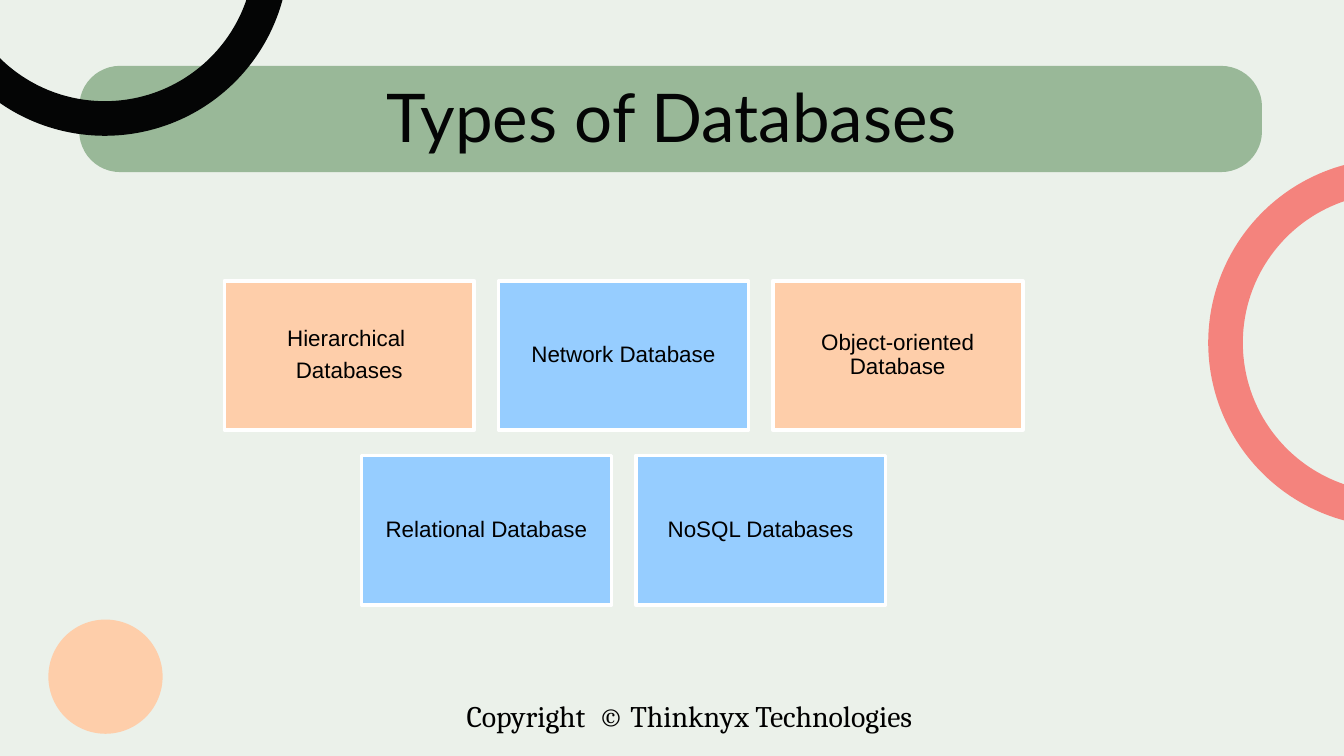
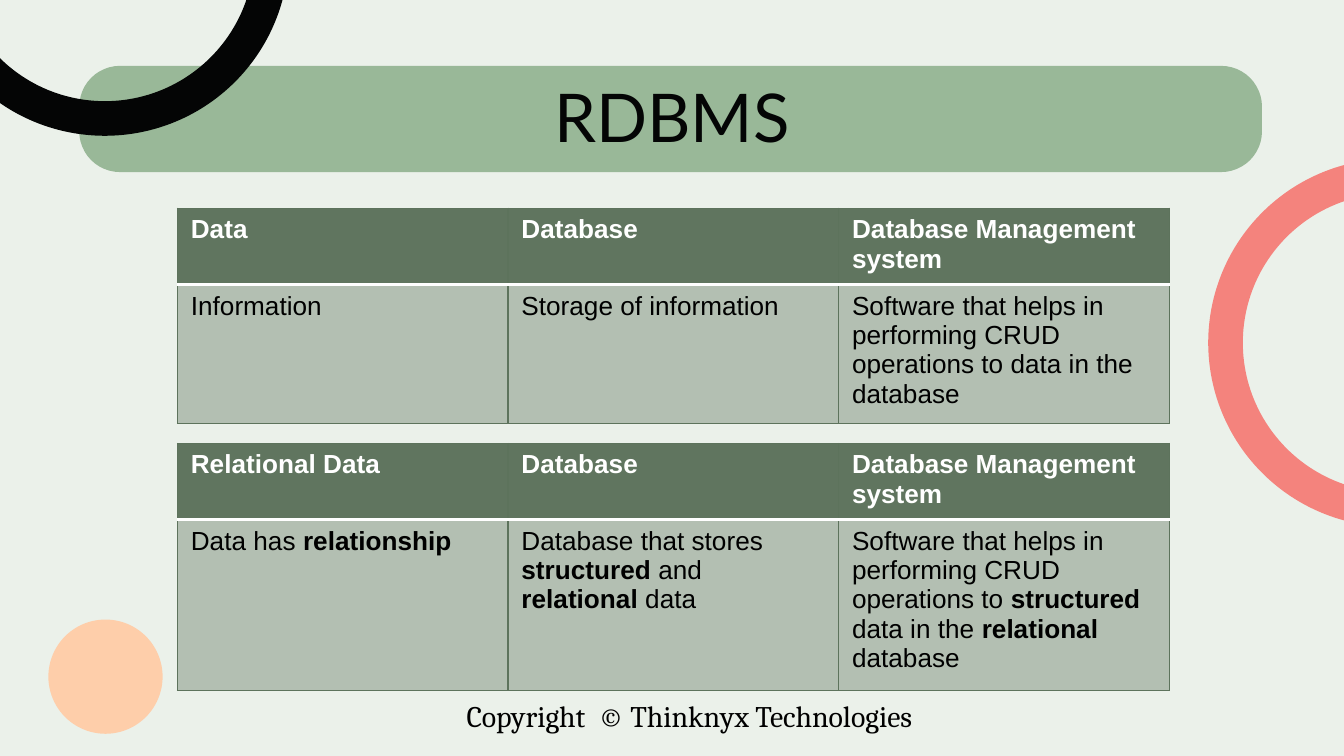
from lxml.etree import SubElement
from pptx import Presentation
from pptx.dml.color import RGBColor
from pptx.enum.shapes import MSO_SHAPE
from pptx.enum.text import MSO_ANCHOR, PP_ALIGN
from pptx.oxml.ns import qn
from pptx.util import Inches, Pt

PALE = RGBColor(0xEB, 0xF1, 0xEA)
SAGE = RGBColor(0x99, 0xB8, 0x98)
PEACH = RGBColor(0xFE, 0xCE, 0xAA)
CORAL = RGBColor(0xF4, 0x83, 0x7D)
INK = RGBColor(0x04, 0x05, 0x05)
BLUE = RGBColor(0x96, 0xCD, 0xFF)
MOSS = RGBColor(0x60, 0x75, 0x5F)
EDGE = RGBColor(0x5D, 0x73, 0x5C)
WHITE = RGBColor(0xFF, 0xFF, 0xFF)
BLACK = RGBColor(0x00, 0x00, 0x00)

DECOR = [
    (MSO_SHAPE.ROUNDED_RECTANGLE, (0.59, 0.49, 8.8, 0.79), SAGE, 0, [0.384]),
    (MSO_SHAPE.OVAL, (0.36, 4.61, 0.85, 0.85), PEACH, 0, []),
    (MSO_SHAPE.BLOCK_ARC, (8.99, 1.18, 2.74, 2.74), CORAL, 270, [108, 0.442, 0.094]),
    (MSO_SHAPE.BLOCK_ARC, (-0.59, -1.73, 2.74, 2.74), INK, 180, [108, 0.442, 0.094]),
]


def write(para, text, font, size, color, bold=False):
    run = para.add_run()
    run.text = text
    run.font.name = font
    run.font.size = Pt(size)
    run.font.color.rgb = color
    run.font.bold = bold


def start(title):
    """Add a slide with the shared footer, shapes and title."""
    slide = deck.slides.add_slide(deck.slide_layouts[6])
    slide.background.fill.solid()
    slide.background.fill.fore_color.rgb = PALE

    foot = slide.shapes.add_textbox(Inches(3.14), Inches(5.14), Inches(3.98), Inches(0.37))
    foot.text_frame.word_wrap = False
    para = foot.text_frame.paragraphs[0]
    para.alignment = PP_ALIGN.CENTER
    write(para, "Copyright  © Thinknyx Technologies", "Cambria", 16, BLACK)

    for kind, place, color, turn, adjust in DECOR:
        shape = slide.shapes.add_shape(kind, *map(Inches, place))
        shape.shadow.inherit = False
        shape.fill.solid()
        shape.fill.fore_color.rgb = color
        shape.line.fill.background()
        shape.rotation = turn
        for i, value in enumerate(adjust):
            shape.adjustments[i] = value

    head = slide.shapes.add_textbox(Inches(0.78), Inches(0.68), Inches(8.44), Inches(0.47))
    frame = head.text_frame
    frame.word_wrap = True
    frame.vertical_anchor = MSO_ANCHOR.TOP
    frame.margin_left = frame.margin_right = frame.margin_top = frame.margin_bottom = 0
    para = frame.paragraphs[0]
    para.alignment = PP_ALIGN.CENTER
    para.line_spacing = 0.8
    write(para, title, "Lato", 36, INK)
    return slide


deck = Presentation()
deck.slide_width = Inches(10)
deck.slide_height = deck.slide_width * 9 // 16

# Slide 1: rows of boxes, each row centred on the same axis
slide = start("Types of Databases")
WIDE, HIGH, STEP, MID = 1.86, 1.11, 2.04, 4.64
GRID = [
    [(["Hierarchical ", "Databases"], PEACH), (["Network Database"], BLUE),
     (["Object-oriented Database"], PEACH)],
    [(["Relational Database"], BLUE), (["NoSQL Databases"], BLUE)],
]
for r, line in enumerate(GRID):
    left = MID - (WIDE + STEP * (len(line) - 1)) / 2
    for c, (words, color) in enumerate(line):
        box = slide.shapes.add_shape(
            MSO_SHAPE.RECTANGLE, Inches(left + c * STEP), Inches(2.09 + r * 1.3),
            Inches(WIDE), Inches(HIGH))
        box.shadow.inherit = False
        box.fill.solid()
        box.fill.fore_color.rgb = color
        box.line.color.rgb = WHITE
        box.line.width = Pt(2)
        frame = box.text_frame
        frame.word_wrap = True
        frame.vertical_anchor = MSO_ANCHOR.MIDDLE
        frame.margin_left = frame.margin_right = Inches(0.05)
        frame.margin_top = frame.margin_bottom = Inches(0.05)
        for i, text in enumerate(words):
            para = frame.add_paragraph() if i else frame.paragraphs[0]
            para.alignment = PP_ALIGN.CENTER
            para.line_spacing = 0.9
            para.space_after = Pt(4.2)
            write(para, text, "Arial", 12, BLACK)

# Slide 2: two tables; every second run of a body cell is bold
slide = start("RDBMS")
TABLES = [
    (1.55, 1.6, 0.41, ["Data", "Database", "Database Management system"], [
        ["Information"],
        ["Storage of information"],
        ["Software that helps in performing CRUD operations to data in the database"],
    ]),
    (3.3, 1.83, 0.35, ["Relational Data", "Database", "Database Management system"], [
        ["Data has ", "relationship"],
        ["Database that stores ", "structured", " and ", "relational", " data"],
        ["Software that helps in performing CRUD operations to ", "structured",
         " data in the ", "relational", " database"],
    ]),
]
for top, high, first, heads, body in TABLES:
    holder = slide.shapes.add_table(
        2, 3, Inches(1.32), Inches(top), Inches(7.37), Inches(high))
    table = holder.table
    table.horz_banding = False
    for col in table.columns:
        col.width = Inches(2.46)
    # Rows grow to fit their text
    table.rows[0].height = Inches(first)
    table.rows[1].height = Inches(0.41)
    holder.height = Inches(high)
    for r, line in enumerate([[[head] for head in heads], body]):
        for c, parts in enumerate(line):
            cell = table.cell(r, c)
            para = cell.text_frame.paragraphs[0]
            for i, text in enumerate(parts):
                write(para, text, "Arial", 14, BLACK if r else WHITE, r == 0 or i % 2 == 1)

            props = cell._tc.get_or_add_tcPr()
            for side in ("lnL", "lnR", "lnT", "lnB"):
                split = side == ("lnT" if r else "lnB")
                edge = SubElement(props, qn("a:" + side), w=str(Pt(2 if split else 0.75)))
                paint = SubElement(edge, qn("a:solidFill"))
                SubElement(paint, qn("a:srgbClr"), val=str(WHITE if split else EDGE))
            cell.fill.solid()
            cell.fill.fore_color.rgb = MOSS
            if r:
                tint = props.find(qn("a:solidFill")).find(qn("a:srgbClr"))
                SubElement(tint, qn("a:alpha"), val="40000")

deck.save("out.pptx")
